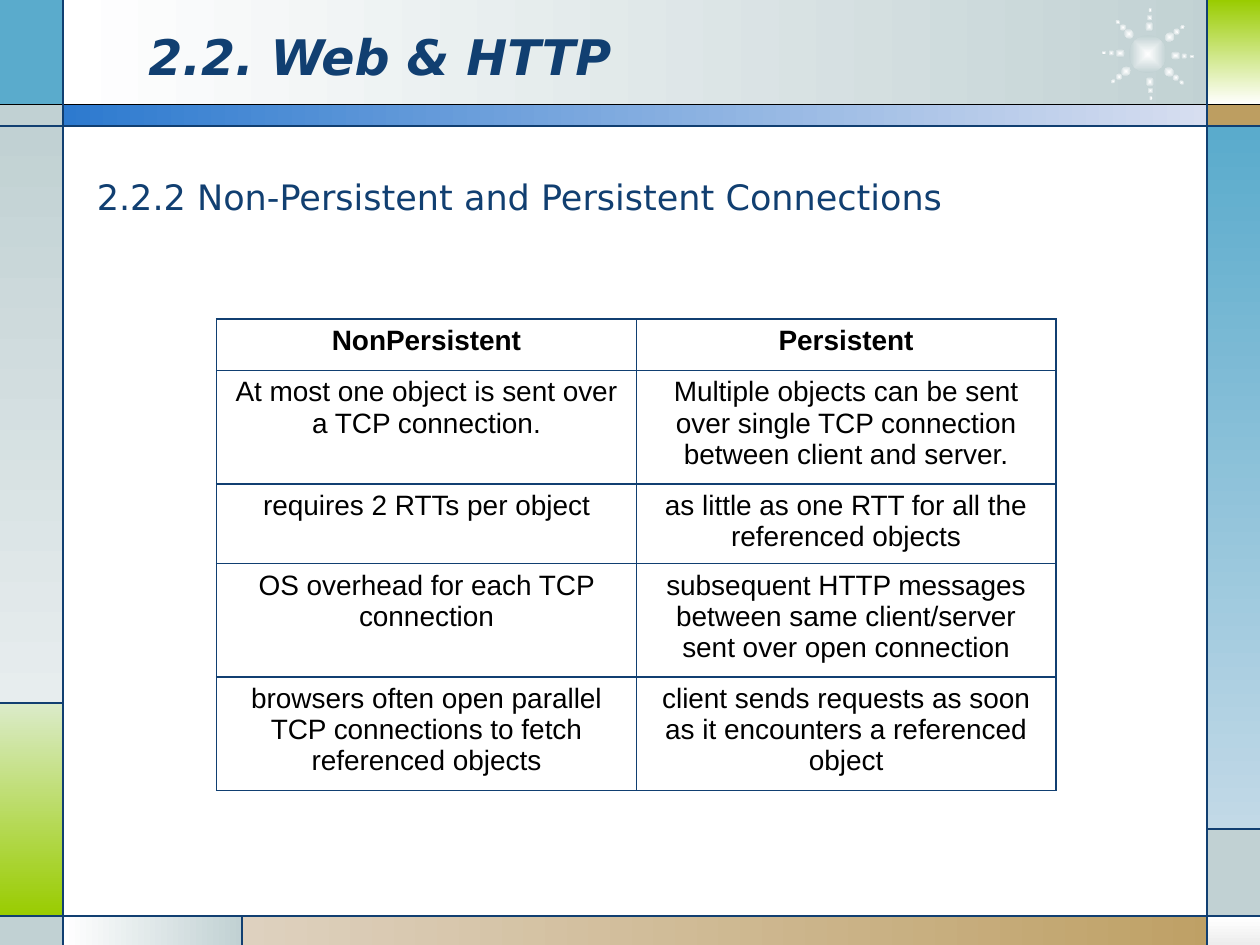
from math import cos, radians, sin

from lxml.etree import SubElement
from pptx import Presentation
from pptx.dml.color import RGBColor
from pptx.enum.shapes import MSO_CONNECTOR as CONN, MSO_SHAPE as SHAPE
from pptx.enum.text import MSO_ANCHOR as ANCHOR, PP_ALIGN as ALIGN
from pptx.oxml.ns import qn
from pptx.util import Inches, Pt

COLORS = {
    "white": "FFFFFF", "black": "000000", "navy": "113F71", "teal": "5AABCC",
    "pale_teal": "C2D9E7", "gray": "C1D1D3", "pale_gray": "E7EDEE",
    "silver": "EDEDED", "green": "99CC00", "pale_green": "DBEBC9",
    "tan": "BD9E61", "pale_tan": "DED1BF", "blue": "2D7ACF", "pale_blue": "D7DEF0",
}

TITLE = "2.2. Web & HTTP"
SUBTITLE = "2.2.2 Non-Persistent and Persistent Connections"
ROWS = [
    ("NonPersistent", "Persistent"),
    ("At most one object is sent over a TCP connection.",
     "Multiple objects can be sent over single TCP connection between client and server."),
    ("requires 2 RTTs per object",
     "as little as one RTT for all the referenced objects"),
    ("OS overhead for each TCP connection",
     "subsequent HTTP messages between same client/server sent over open connection"),
    ("browsers often open parallel TCP connections to fetch referenced objects",
     "client sends requests as soon as it encounters a referenced object"),
]

# Frame edges shared by the panels and the rules
LEFT, RIGHT, WIDTH, HEIGHT = 0.5, 9.58, 10, 7.5
TOP, BAND, FOOT = 0.83, 1, 7.27
GREEN_TOP, GRAY_TOP, TAN_LEFT = 5.58, 6.58, 1.92

# left, top, right, bottom, colours (two make a gradient), gradient angle
PANELS = [
    (LEFT, 0, 9.77, TOP, ("white", "gray"), 0),
    (0, 0, LEFT, TOP, ("teal",), 0),
    (0, TOP, LEFT, BAND, ("gray",), 0),
    (0, BAND, LEFT, GREEN_TOP, ("gray", "pale_gray"), 270),
    (0, GREEN_TOP, LEFT, FOOT, ("pale_green", "green"), 270),
    (0, FOOT, LEFT, HEIGHT, ("gray",), 0),
    (LEFT, FOOT, TAN_LEFT, HEIGHT, ("white", "gray"), 0),
    (TAN_LEFT, FOOT, WIDTH, HEIGHT, ("pale_tan", "tan"), 0),
    (RIGHT, FOOT, WIDTH, HEIGHT, ("white", "silver"), 270),
    (RIGHT, GRAY_TOP, WIDTH, FOOT, ("gray",), 0),
    (RIGHT, BAND, WIDTH, GRAY_TOP, ("teal", "pale_teal"), 270),
    (RIGHT, TOP, WIDTH, BAND, ("tan",), 0),
    (RIGHT, 0, WIDTH, TOP, ("green", "white"), 270),
    (LEFT, TOP, RIGHT, BAND, ("blue", "pale_blue"), 0),
]
RULES = [
    (0, TOP, WIDTH, TOP, "black"),
    (0, BAND, WIDTH, BAND, "navy"),
    (0, FOOT, WIDTH, FOOT, "navy"),
    (LEFT, 0, LEFT, HEIGHT, "navy"),
    (RIGHT, 0, RIGHT, HEIGHT, "navy"),
    (LEFT, GREEN_TOP, 0, GREEN_TOP, "navy"),
    (TAN_LEFT, FOOT, TAN_LEFT, HEIGHT, "navy"),
    (RIGHT, GRAY_TOP, WIDTH, GRAY_TOP, "navy"),
]

STAR_CENTER = (9.11, 0.43)
STAR_ANGLES = (40, 3, -38, 86, -87, -133, 182, 142)
STAR_DOTS = [(0.29, 0.05, 0.05), (0.35, 0.04, 0.03), (0.22, 0.08, 0.07)]  # radius, w, h


def rgb(name):
    return RGBColor.from_string(COLORS[name])


def add_filled(s, shape, left, top, width, height, colors, angle=0):
    sp = s.shapes.add_shape(shape, Inches(left), Inches(top), Inches(width), Inches(height))
    sp.shadow.inherit = False
    sp.line.fill.background()
    if len(colors) == 1:
        sp.fill.solid()
        sp.fill.fore_color.rgb = rgb(colors[0])
    else:
        sp.fill.gradient()
        sp.fill.gradient_angle = angle
        for stop, color in zip(sp.fill.gradient_stops, colors):
            stop.color.rgb = rgb(color)
    return sp


def add_dot(s, x, y, width, height, rotation=0):
    """Ellipse centred on x, y that fades from white outwards to gray."""
    sp = add_filled(s, SHAPE.OVAL, x - width / 2, y - height / 2, width, height,
                    ("white", "gray"))
    sp.rotation = rotation
    grad = sp._element.spPr.find(qn("a:gradFill"))
    grad.remove(grad.find(qn("a:lin")))
    radial = SubElement(grad, qn("a:path"), {"path": "shape"})
    SubElement(radial, qn("a:fillToRect"), {side: "50000" for side in "ltrb"})


def add_star(s):
    x, y = STAR_CENTER
    add_dot(s, x, y, 0.3, 0.3)
    for angle in STAR_ANGLES:
        a = radians(angle)
        for radius, width, height in STAR_DOTS:
            add_dot(s, x + radius * cos(a), y + radius * sin(a), width, height, angle)


def add_rule(s, x1, y1, x2, y2, color):
    line = s.shapes.add_connector(CONN.STRAIGHT, Inches(x1), Inches(y1), Inches(x2), Inches(y2))
    line.line.color.rgb = rgb(color)
    line.line.width = Pt(0.75)
    SubElement(line._element.spPr, qn("a:effectLst"))


def set_text(tf, text, size, font, color, bold=False, italic=False):
    tf.word_wrap = True
    p = tf.paragraphs[0]
    p.text = text
    f = p.font
    f.size, f.name, f.bold, f.italic = Pt(size), font, bold, italic
    f.color.rgb = rgb(color)
    return p


def add_text(s, left, top, width, height, text, size, **style):
    box = s.shapes.add_textbox(Inches(left), Inches(top), Inches(width), Inches(height))
    set_text(box.text_frame, text, size, "DejaVu Sans", "navy", **style)
    return box.text_frame


def set_borders(cell):
    props = cell._tc.get_or_add_tcPr()
    for i, side in enumerate(("lnL", "lnR", "lnT", "lnB")):
        ln = props.makeelement(qn(f"a:{side}"), {"w": str(Pt(1))})
        props.insert(i, ln)
        SubElement(SubElement(ln, qn("a:solidFill")), qn("a:srgbClr"), {"val": COLORS["navy"]})


def add_comparison(s):
    row_height, col_width = 0.41, 3.33
    table = s.shapes.add_table(len(ROWS), 2, Inches(1.72), Inches(2.53), Inches(2 * col_width),
                               Inches(row_height * len(ROWS))).table
    table.first_row = table.horz_banding = False
    for r, row in enumerate(ROWS):
        for c, text in enumerate(row):
            cell = table.cell(r, c)
            cell.fill.background()
            set_borders(cell)
            p = set_text(cell.text_frame, text, 16, "Arial", "black", bold=r == 0)
            p.alignment = ALIGN.CENTER


def main():
    prs = Presentation()
    prs.slide_width, prs.slide_height = Inches(WIDTH), Inches(HEIGHT)
    s = prs.slides.add_slide(prs.slide_layouts[6])
    for left, top, right, bottom, colors, angle in PANELS:
        add_filled(s, SHAPE.RECTANGLE, left, top, right - left, bottom - top, colors, angle)
    add_star(s)
    for rule in RULES:
        add_rule(s, *rule)
    title = add_text(s, 1.08, 0.13, 7.33, 0.62, TITLE, 28, bold=True, italic=True)
    title.vertical_anchor = ANCHOR.MIDDLE
    subtitle = add_text(s, 0.67, 1.34, 8.77, 0.67, SUBTITLE, 20)
    subtitle.paragraphs[0].space_before = Pt(4)
    add_comparison(s)
    prs.save("out.pptx")


if __name__ == "__main__":
    main()
